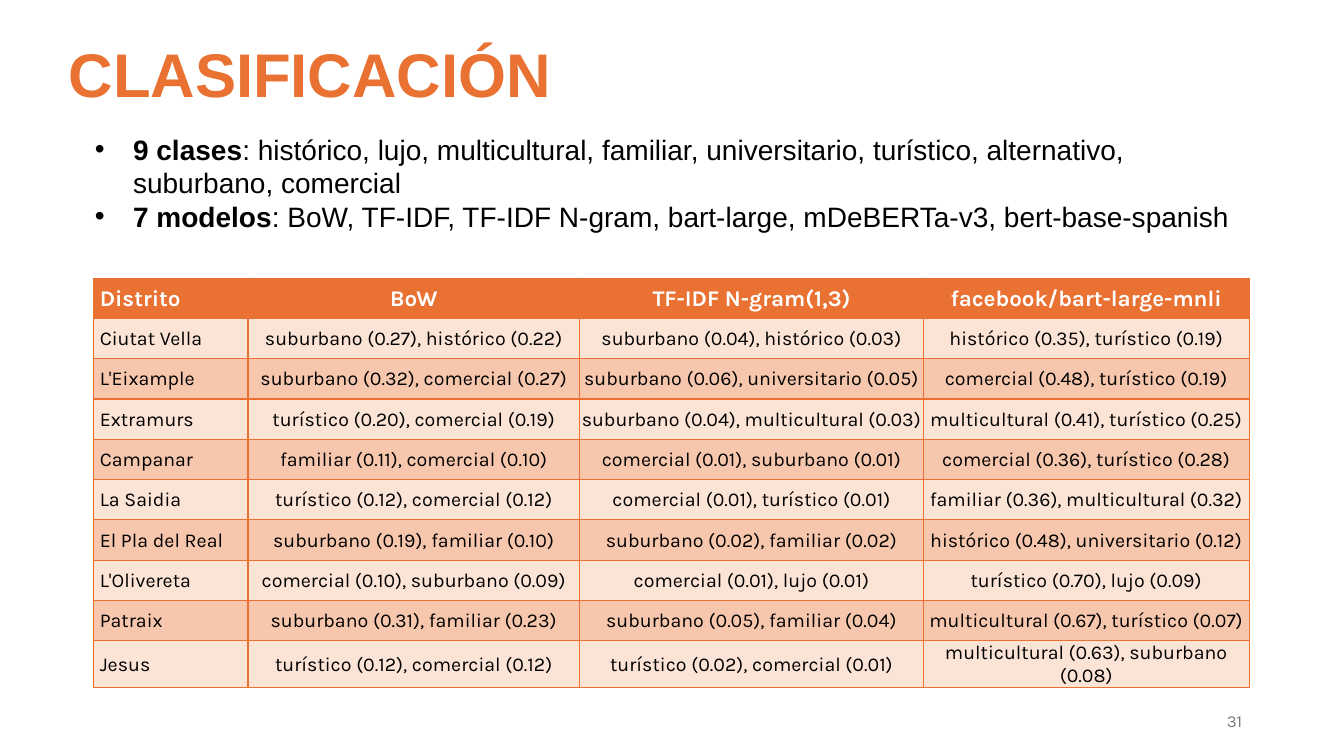
"""Build the district classification slide."""
from lxml import etree
from pptx import Presentation
from pptx import util as u
from pptx.dml.color import RGBColor
from pptx.enum import text
from pptx.oxml import ns

COLORS = {"orange": "E97132", "light": "FBE3D6", "peach": "F6C6AD",
          "black": "000000", "white": "FFFFFF", "gray": "797979"}
TOPICS = [
    ("9 clases", ": histórico, lujo, multicultural, familiar, universitario, "
                 "turístico, alternativo, suburbano, comercial"),
    ("7 modelos", ": BoW, TF-IDF, TF-IDF N-gram, bart-large, mDeBERTa-v3, bert-base-spanish"),
]
RESULTS = [
    ("Distrito", "BoW", "TF-IDF N-gram(1,3)", "facebook/bart-large-mnli"),
    ("Ciutat Vella", "suburbano (0.27), histórico (0.22)",
     "suburbano (0.04), histórico (0.03)", "histórico (0.35), turístico (0.19)"),
    ("L'Eixample", "suburbano (0.32), comercial (0.27)",
     "suburbano (0.06), universitario (0.05)", "comercial (0.48), turístico (0.19)"),
    ("Extramurs", "turístico (0.20), comercial (0.19)",
     "suburbano (0.04), multicultural (0.03)", "multicultural (0.41), turístico (0.25)"),
    ("Campanar", "familiar (0.11), comercial (0.10)",
     "comercial (0.01), suburbano (0.01)", "comercial (0.36), turístico (0.28)"),
    ("La Saidia", "turístico (0.12), comercial (0.12)",
     "comercial (0.01), turístico (0.01)", "familiar (0.36), multicultural (0.32)"),
    ("El Pla del Real", "suburbano (0.19), familiar (0.10)",
     "suburbano (0.02), familiar (0.02)", "histórico (0.48), universitario (0.12)"),
    ("L'Olivereta", "comercial (0.10), suburbano (0.09)",
     "comercial (0.01), lujo (0.01)", "turístico (0.70), lujo (0.09)"),
    ("Patraix", "suburbano (0.31), familiar (0.23)",
     "suburbano (0.05), familiar (0.04)", "multicultural (0.67), turístico (0.07)"),
    ("Jesus", "turístico (0.12), comercial (0.12)",
     "turístico (0.02), comercial (0.01)", "multicultural (0.63), suburbano (0.08)"),
]


class Composer:
    """Style and current slide, laid out on a grid of 100 columns by 100 rows."""

    def __init__(self, deck):
        self.column = deck.slide_width / 100
        self.row = deck.slide_height / 100
        self.page = deck.slides.add_slide(deck.slide_layouts[1])

    def area(self, left, top, width, height):
        return (u.Emu(round(left * self.column)), u.Emu(round(top * self.row)),
                u.Emu(round(width * self.column)), u.Emu(round(height * self.row)))

    def place(self, shape, *grid):
        shape.left, shape.top, shape.width, shape.height = self.area(*grid)
        shape.text_frame.word_wrap = True
        shape.text_frame.auto_size = text.MSO_AUTO_SIZE.NONE
        return shape.text_frame

    def style(self, para, name, size, color, bold=None, align=text.PP_ALIGN.LEFT):
        para.alignment = align
        font = para.font
        font.name, font.size, font.bold = name, u.Pt(size), bold
        font.color.rgb = RGBColor.from_string(COLORS[color])

    def title(self, words, *grid):
        frame = self.place(self.page.shapes.title, *grid)
        frame.vertical_anchor = text.MSO_ANCHOR.MIDDLE
        para = frame.paragraphs[0]
        para.text = words
        para.line_spacing = 0.9
        self.style(para, "Arial", 44, "orange", True)

    def bullets(self, items, *grid):
        frame = self.place(self.page.placeholders[1], *grid)
        for index, (term, rest) in enumerate(items):
            para = frame.add_paragraph() if index else frame.paragraphs[0]
            para.space_before = u.Pt(0)
            for words, bold in ((term, True), (rest, False)):
                span = para.add_run()
                span.text, span.font.bold = words, bold
            props = para._p.get_or_add_pPr()
            props.set("marL", str(u.Inches(0.38)))
            props.set("indent", str(u.Inches(-0.38)))
            etree.SubElement(props, ns.qn("a:buChar"), char="•")
            self.style(para, "Arial", 20, "black")

    def label(self, words, *grid):
        frame = self.place(self.page.shapes.add_textbox(*self.area(*grid)), *grid)
        frame.vertical_anchor = text.MSO_ANCHOR.MIDDLE
        para = frame.paragraphs[0]
        para.text = words
        self.style(para, "Karla", 12, "gray", align=text.PP_ALIGN.RIGHT)

    def border(self, cell):
        props = cell._tc.get_or_add_tcPr()
        for index, side in enumerate(("lnL", "lnR", "lnT", "lnB")):
            line = etree.Element(ns.qn(f"a:{side}"), w=str(u.Pt(1)))
            fill = etree.SubElement(line, ns.qn("a:solidFill"))
            etree.SubElement(fill, ns.qn("a:srgbClr"), val=COLORS["orange"])
            props.insert(index, line)

    def table(self, rows, left, top, widths, height):
        grid = self.area(left, top, sum(widths), height * len(rows))
        table = self.page.shapes.add_table(len(rows), len(widths), *grid).table
        table.horz_banding = False
        for column, width in zip(table.columns, widths):
            column.width = u.Emu(round(width * self.column))
        for r, values in enumerate(rows):
            for c, words in enumerate(values):
                self.cell(table.cell(r, c), words, r, c)

    def cell(self, cell, words, r, c):
        header = r == 0
        color = "orange" if header else ("peach", "light")[r % 2]
        cell.fill.solid()
        cell.fill.fore_color.rgb = RGBColor.from_string(COLORS[color])
        self.border(cell)
        cell.vertical_anchor = text.MSO_ANCHOR.MIDDLE
        cell.margin_left = u.Inches(0.01 if c else 0.06)
        cell.margin_right = cell.margin_top = u.Inches(0.01)
        cell.margin_bottom = 0
        para = cell.text_frame.paragraphs[0]
        para.text = words
        self.style(para, "Karla", 16 if header else 14, "white" if header else "black",
                   header, text.PP_ALIGN.CENTER if c else text.PP_ALIGN.LEFT)


def main():
    deck = Presentation()
    deck.slide_width, deck.slide_height = u.Inches(13.33), u.Inches(7.5)
    composer = Composer(deck)
    composer.title("CLASIFICACIÓN", 4.35, 0.53, 50.64, 19.33)
    composer.bullets(TOPICS, 6.3, 16.8, 87.4, 14.8)
    composer.table(RESULTS, 6.98, 36.8, (11.48, 24.68, 25.58, 24.23), 5.33)
    composer.label("31", 70.67, 92.67, 22.5, 5.33)
    deck.save("out.pptx")


if __name__ == "__main__":
    main()
